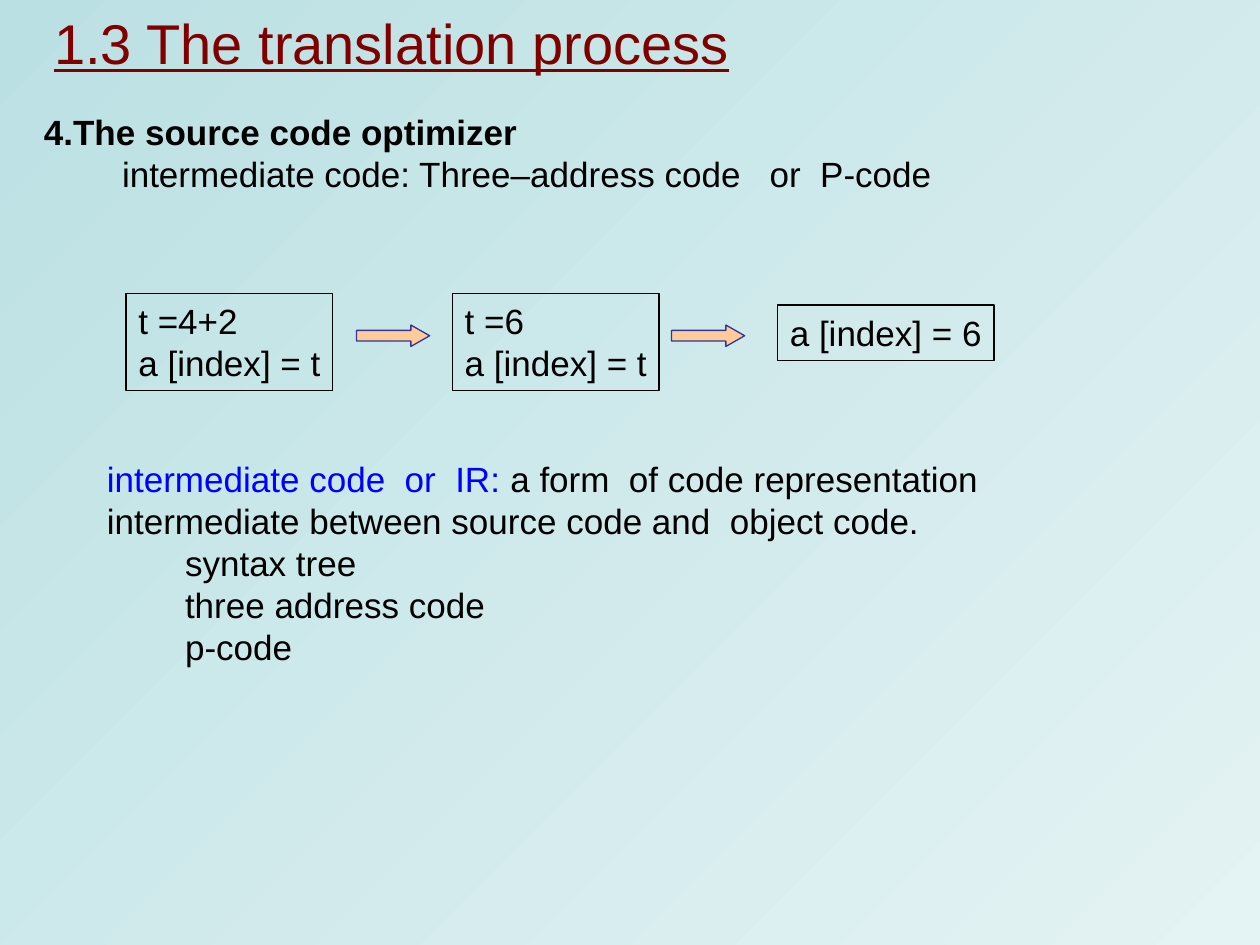
from pptx import Presentation
from pptx.dml.color import RGBColor
from pptx.enum.shapes import MSO_SHAPE
from pptx.enum.text import MSO_ANCHOR, PP_ALIGN
from pptx.util import Inches, Pt

RECTANGLE = MSO_SHAPE.RECTANGLE
RIGHT_ARROW = MSO_SHAPE.RIGHT_ARROW
TOP, MIDDLE = MSO_ANCHOR.TOP, MSO_ANCHOR.MIDDLE
LEFT = PP_ALIGN.LEFT
TITLE_ONLY = 5


def color(value):
    return RGBColor.from_string(value)


def add_text(paragraph, text, size=20, fill="000000", bold=False,
             underline=False, indent=0, spacing=Pt(24), before=0):
    paragraph.alignment = LEFT
    paragraph.line_spacing = spacing
    paragraph.space_before = Pt(before)
    if indent:
        paragraph._p.get_or_add_pPr().set("marL", str(Inches(indent)))
    run = paragraph.add_run()
    run.text = text
    run.font.name = "Arial"
    run.font.size = Pt(size)
    run.font.bold = bold
    run.font.underline = underline
    run.font.color.rgb = color(fill)


presentation = Presentation()
presentation.slide_width = Inches(10)
presentation.slide_height = Inches(7.5)
slide = presentation.slides.add_slide(presentation.slide_layouts[TITLE_ONLY])

# Background gradient, from top left to bottom right
background = slide.background.fill
background.gradient()
background.gradient_angle = 315
for stop, value in zip(background.gradient_stops, ("BBE0E3", "E4F3F4")):
    stop.color.rgb = color(value)

# Title
title = slide.shapes.title
title.left, title.top = Inches(0.33), Inches(0)
title.width, title.height = Inches(9.08), Inches(0.67)
title.text_frame.vertical_anchor = MIDDLE
add_text(title.text_frame.paragraphs[0], "1.3 The translation process",
         size=32, fill="800000", underline=True, spacing=1.0)

# Section heading and its detail
heading = slide.shapes.add_textbox(Inches(0.25), Inches(0.83),
                                   Inches(9.08), Inches(1.67)).text_frame
heading.word_wrap = True
add_text(heading.paragraphs[0], "4.The source code optimizer", bold=True)
add_text(heading.add_paragraph(),
         "intermediate code: Three–address code   or  P-code", indent=0.62)

# Code boxes, one for each optimization step
steps = [
    (1.0, 2.33, 1.64, 0.77, ["t =4+2", "a [index] = t"]),
    (3.59, 2.33, 1.64, 0.77, ["t =6", "a [index] = t"]),
    (6.17, 2.42, 1.72, 0.44, ["a [index] = 6"]),
]
for left, top, width, height, lines in steps:
    box = slide.shapes.add_shape(RECTANGLE, Inches(left), Inches(top),
                                 Inches(width), Inches(height))
    box.shadow.inherit = False
    box.fill.background()
    box.line.color.rgb = color("000000")
    box.line.width = Pt(0.75)
    frame = box.text_frame
    frame.word_wrap = False
    frame.vertical_anchor = TOP
    for number, line in enumerate(lines):
        paragraph = frame.add_paragraph() if number else frame.paragraphs[0]
        add_text(paragraph, line)

# Arrows between the steps
for left in (2.83, 5.33):
    arrow = slide.shapes.add_shape(RIGHT_ARROW, Inches(left), Inches(2.58),
                                   Inches(0.58), Inches(0.17))
    arrow.shadow.inherit = False
    arrow.adjustments[1] = 0.875
    arrow.fill.solid()
    arrow.fill.fore_color.rgb = color("FFCC99")
    arrow.line.color.rgb = color("333399")
    arrow.line.width = Pt(0.75)

# Definition of intermediate code, with its forms
definition = slide.shapes.add_textbox(Inches(0.75), Inches(3.58),
                                      Inches(8.58), Inches(1.77)).text_frame
definition.word_wrap = True
add_text(definition.paragraphs[0], "intermediate code  or  IR:", fill="0000FF")
add_text(definition.paragraphs[0],
         " a form  of code representation intermediate between source code"
         " and  object code.")
for form in ("syntax tree", "three address code", "p-code"):
    add_text(definition.add_paragraph(), form, indent=0.62)

presentation.save("out.pptx")
